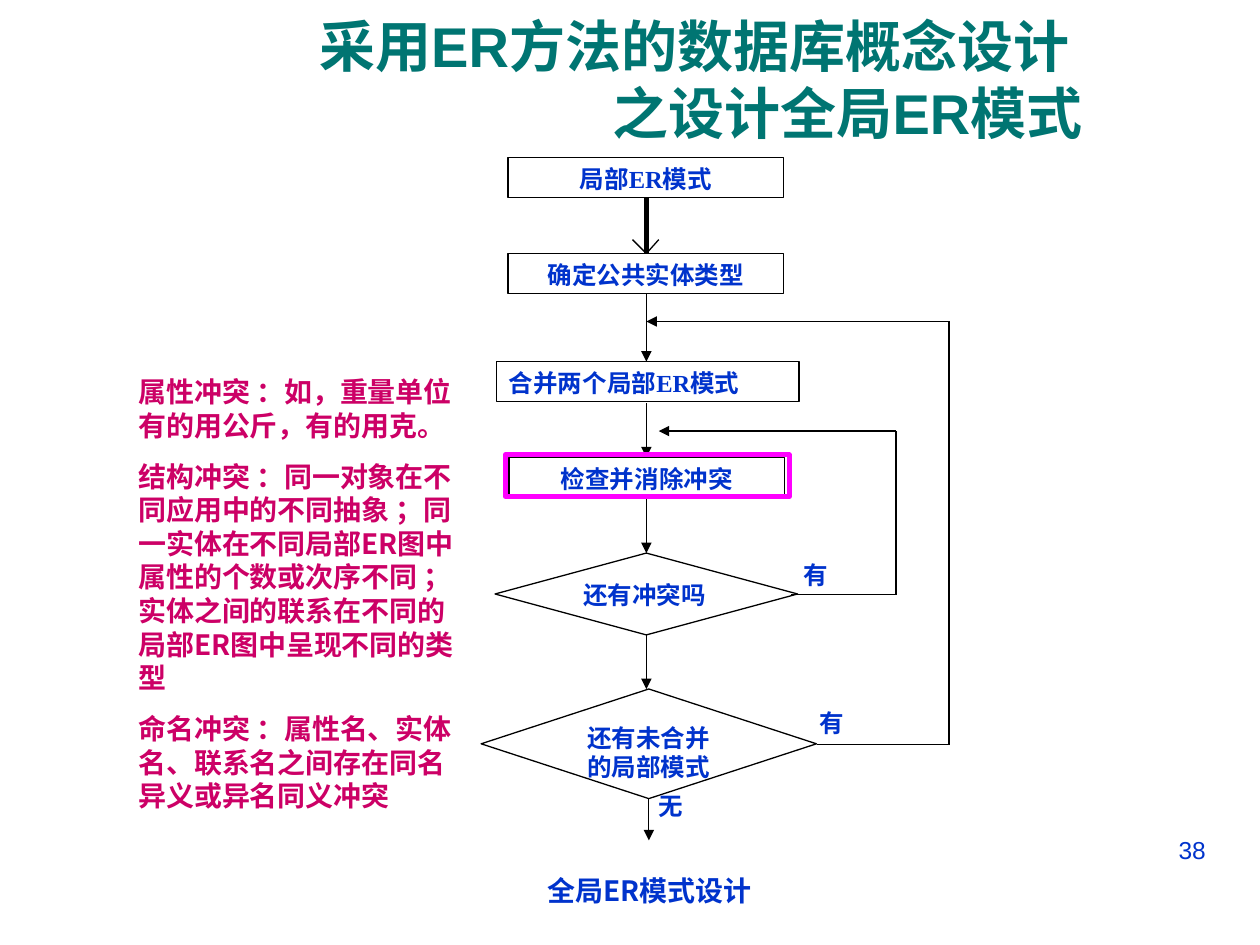
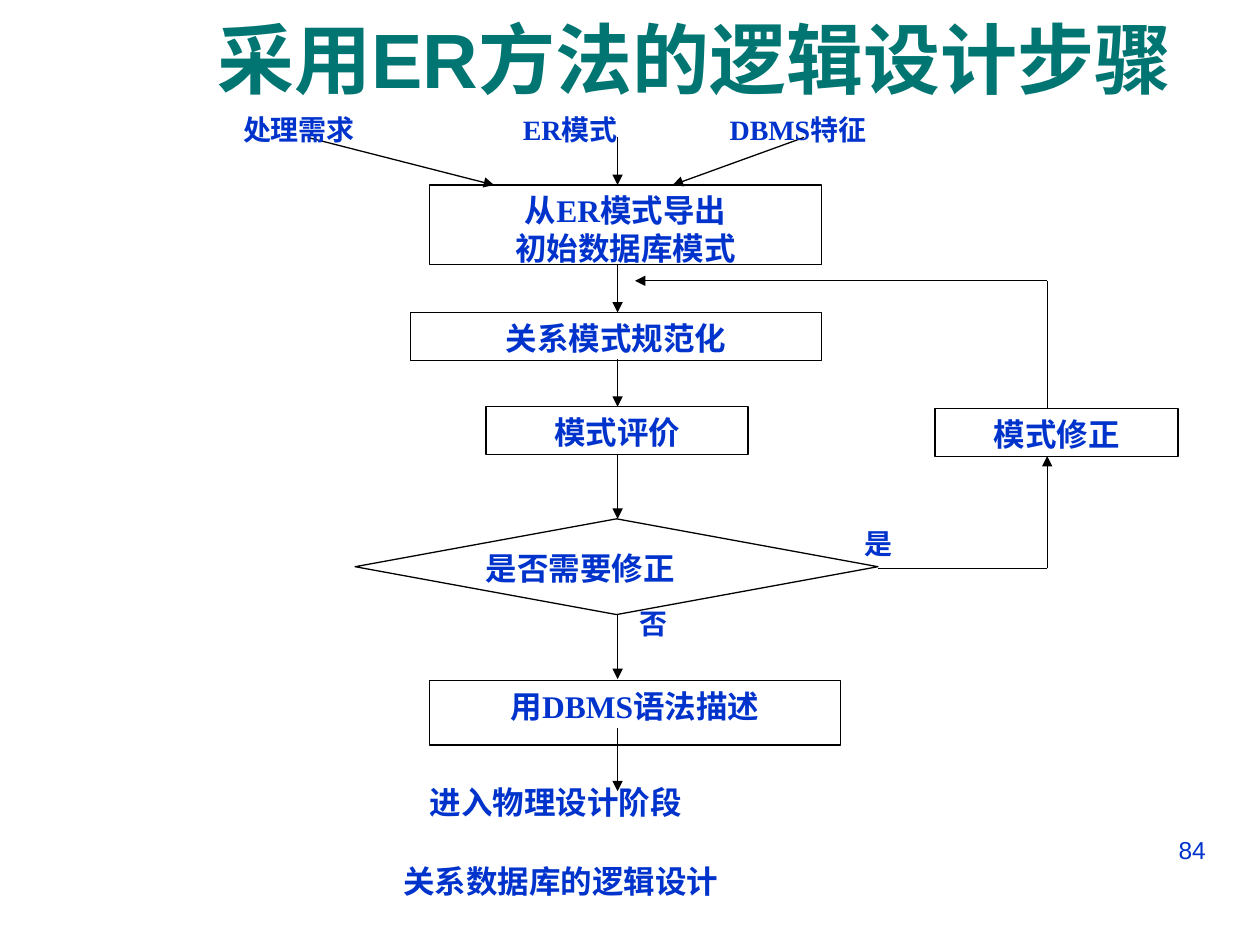
from itertools import pairwise

from lxml import etree
from pptx import Presentation
from pptx.dml.color import RGBColor
from pptx.enum.shapes import MSO_CONNECTOR, MSO_SHAPE
from pptx.enum.text import MSO_ANCHOR, PP_ALIGN
from pptx.oxml.ns import qn
from pptx.util import Cm, Pt

RECTANGLE, DECISION = MSO_SHAPE.RECTANGLE, MSO_SHAPE.FLOWCHART_DECISION
STRAIGHT = MSO_CONNECTOR.STRAIGHT
TOP, MIDDLE = MSO_ANCHOR.TOP, MSO_ANCHOR.MIDDLE
LEFT, CENTER, RIGHT, JUSTIFY = PP_ALIGN.LEFT, PP_ALIGN.CENTER, PP_ALIGN.RIGHT, PP_ALIGN.JUSTIFY

BLUE, TEAL, CRIMSON, MAGENTA = "0033CC", "007572", "CC0066", "FF00FF"
BLACK, WHITE = "000000", "FFFFFF"
SERIF, SANS, CJK, EAST_ASIAN = "Times New Roman", "Arial", "Noto Sans CJK SC", "Cabin"
INSET = 0.25
THIN, THICK = 0.75, 3

GLOBAL_DESIGN = {
    "title": ["采用ER方法的数据库概念设计", "之设计全局ER模式"],
    "title_size": 32, "title_height": 3.18, "second_line_indent": 6.17,
    "number": "38", "size": 14, "inset": INSET,
    "boxes": [
        (RECTANGLE, (10.24, 3.18, 5.56, 0.81), ["局部ER模式"], CENTER),
        (RECTANGLE, (10.24, 5.11, 5.56, 0.81), ["确定公共实体类型"], CENTER),
        (RECTANGLE, (10.01, 7.29, 6.1, 0.81), ["合并两个局部ER模式"], JUSTIFY),
        (RECTANGLE, (10.26, 9.22, 5.56, 0.81), ["检查并消除冲突"], CENTER),
        (DECISION, (9.98, 11.15, 6.1, 1.65), ["还有冲突吗"], JUSTIFY),
        (DECISION, (9.7, 13.89, 6.76, 2.21), ["还有未合并的局部模式"], CENTER),
    ],
    "down_arrows": (13.03, [(5.92, 7.29), (8.13, 9.22), (10.06, 11.15), (12.8, 13.89)]),
    "arrows": [
        [(13.08, 16.1), (13.08, 16.94)],
        [(15.95, 11.99), (18.06, 11.99), (18.06, 8.69), (13.28, 8.69)],
        [(16.46, 15.01), (19.13, 15.01), (19.13, 6.48), (13.03, 6.48)],
    ],
    "labels": [
        ((13.03, 15.82, 1.32, 0.81), "无", JUSTIFY, {}),
        ((16.28, 14.15, 1.32, 0.81), "有", JUSTIFY, {}),
        ((15.95, 11.15, 1.32, 0.81), "有", JUSTIFY, {}),
        ((9.25, 17.48, 7.7, 0.81), "全局ER模式设计", CENTER, {"size": 16, "name": CJK}),
    ],
}

LOGICAL_DESIGN = {
    "title": ["采用ER方法的逻辑设计步骤"],
    "title_size": 44, "title_height": 2.34, "second_line_indent": 0,
    "number": "84", "size": 18, "inset": 0,
    "boxes": [
        (RECTANGLE, (8.66, 3.73, 7.9, 1.6), ["从ER模式导出", "初始数据库模式"], CENTER),
        (RECTANGLE, (8.28, 6.3, 8.28, 0.97), ["关系模式规范化"], CENTER),
        (RECTANGLE, (9.8, 8.2, 5.28, 0.97), ["模式评价"], CENTER),
        (DECISION, (7.16, 10.46, 10.54, 1.93), ["是否需要修正"], JUSTIFY),
        (RECTANGLE, (8.66, 13.72, 8.28, 1.3), ["用DBMS语法描述"], CENTER),
        (RECTANGLE, (18.85, 8.23, 4.9, 0.97), ["模式修正"], CENTER),
    ],
    "down_arrows": (12.45, [(2.77, 3.73), (5.33, 6.3), (7.24, 8.2), (9.17, 10.46),
                            (12.4, 13.69), (14.68, 15.95)]),
    "arrows": [
        [(6.2, 2.77), (9.96, 3.73)],
        [(16.21, 2.77), (13.56, 3.73)],
        [(17.7, 11.46), (21.11, 11.46), (21.11, 9.19)],
        [(21.11, 8.23), (21.11, 5.66), (12.8, 5.66)],
    ],
    "labels": [
        ((4.9, 2.13, 3.76, 0.97), "处理需求", JUSTIFY, {"size": 16}),
        ((10.54, 2.13, 3.76, 0.97), "ER模式", JUSTIFY, {"size": 16}),
        ((14.71, 2.13, 4.52, 0.97), "DBMS特征", JUSTIFY, {"size": 16}),
        ((17.42, 10.49, 1.43, 0.97), "是", JUSTIFY, {"size": 16}),
        ((12.9, 12.09, 1.43, 0.97), "否", JUSTIFY, {"size": 16}),
        ((8.66, 15.65, 8.66, 0.97), "进入物理设计阶段", JUSTIFY, {"name": CJK}),
        ((8.13, 17.25, 11.09, 0.97), "关系数据库的逻辑设计", LEFT, {"name": CJK}),
    ],
}

CONFLICTS = [
    ["属性冲突", " ：", "如，重量单位有的用公斤，有的用克。"],
    ["结构冲突", " ：", "同一对象在不同应用中的不同抽象", " ；",
     "同一实体在不同局部ER图中属性的个数或次序不同", " ；",
     "实体之间的联系在不同的局部ER图中呈现不同的类型"],
    ["命名冲突", " ：", "属性名、实体名、联系名之间存在同名异义或异名同义冲突"],
]


def color(value):
    return RGBColor.from_string(value)


def add_run(paragraph, text, style):
    run = paragraph.add_run()
    run.text = text
    values = {"name": SERIF, "bold": True, "color": BLUE} | style
    run.font.color.rgb = color(values.pop("color"))
    values["size"] = Pt(values["size"])
    for attribute, value in values.items():
        setattr(run.font, attribute, value)
    etree.SubElement(run.font._element, qn("a:ea"), typeface=EAST_ASIAN)


def fill_text(shape, paragraphs, align, style, inset=INSET, anchor=TOP, space=0):
    frame = shape.text_frame
    settings = {"word_wrap": True, "vertical_anchor": anchor,
                "margin_left": Cm(inset), "margin_right": Cm(inset),
                "margin_top": Cm(0.13), "margin_bottom": Cm(0.13)}
    for attribute, value in settings.items():
        setattr(frame, attribute, value)
    for index, runs in enumerate(paragraphs):
        paragraph = frame.add_paragraph() if index else frame.paragraphs[0]
        paragraph.alignment = align
        if index and space:
            paragraph.space_before = Pt(space)
        for text in runs:
            add_run(paragraph, text, style | ({"name": EAST_ASIAN} if text.startswith(" ") else {}))
    return frame


def add_text(slide, place, paragraphs, align, style, **options):
    box = slide.shapes.add_textbox(*map(Cm, place))
    return fill_text(box, paragraphs, align, style, **options)


def add_box(slide, kind, place, fill=WHITE, line=BLACK, width=THIN):
    box = slide.shapes.add_shape(kind, *map(Cm, place))
    box.shadow.inherit = False
    if fill:
        box.fill.solid()
        box.fill.fore_color.rgb = color(fill)
    else:
        box.fill.background()
    box.line.color.rgb = color(line)
    box.line.width = Pt(width)
    return box


def add_route(slide, points, width=THIN, arrow=True):
    for start, end in pairwise(points):
        connector = slide.shapes.add_connector(STRAIGHT, *map(Cm, start + end))
        connector.line.color.rgb = color(BLACK)
        connector.line.width = Pt(width)
        etree.SubElement(connector._element.spPr, qn("a:effectLst"))
    if arrow:
        etree.SubElement(connector.line._get_or_add_ln(), qn("a:tailEnd"), type="triangle")


def add_flowchart(presentation, chart):
    slide = presentation.slides.add_slide(presentation.slide_layouts[6])
    add_text(slide, (18.21, 16.71, 6.35, 1.32), [[chart["number"]]], RIGHT,
             {"name": SANS, "size": 14, "bold": False})
    title = add_text(slide, (3.18, 0, 21.64, chart["title_height"]),
                     [[line] for line in chart["title"]], CENTER,
                     {"name": SANS, "size": chart["title_size"], "color": TEAL}, anchor=MIDDLE)
    for paragraph in title.paragraphs[1:]:
        paragraph._p.get_or_add_pPr().set("marL", str(Cm(chart["second_line_indent"])))
    style = {"size": chart["size"]}
    for kind, place, lines, align in chart["boxes"]:
        fill_text(add_box(slide, kind, place), [[line] for line in lines], align, style,
                  inset=chart["inset"])
    center, spans = chart["down_arrows"]
    for top, bottom in spans:
        add_route(slide, [(center, top), (center, bottom)])
    for points in chart["arrows"]:
        add_route(slide, points)
    for place, text, align, changes in chart["labels"]:
        add_text(slide, place, [[text]], align, style | changes, inset=chart["inset"])
    return slide


def add_conflict_notes(slide):
    add_route(slide, [(13.03, 3.99), (13.03, 5.11)], THICK, arrow=False)
    add_route(slide, [(13.28, 4.83), (13.03, 5.11), (12.75, 4.83)], arrow=False)
    add_box(slide, RECTANGLE, (10.19, 9.17, 5.72, 0.84), None, MAGENTA, THICK)
    add_text(slide, (2.54, 7.42, 7.19, 9.09), CONFLICTS, LEFT,
             {"name": CJK, "size": 16, "color": CRIMSON}, space=10)


def main():
    presentation = Presentation()
    presentation.slide_width, presentation.slide_height = Cm(25.4), Cm(19.05)
    add_conflict_notes(add_flowchart(presentation, GLOBAL_DESIGN))
    add_flowchart(presentation, LOGICAL_DESIGN)
    presentation.save("out.pptx")


if __name__ == "__main__":
    main()
